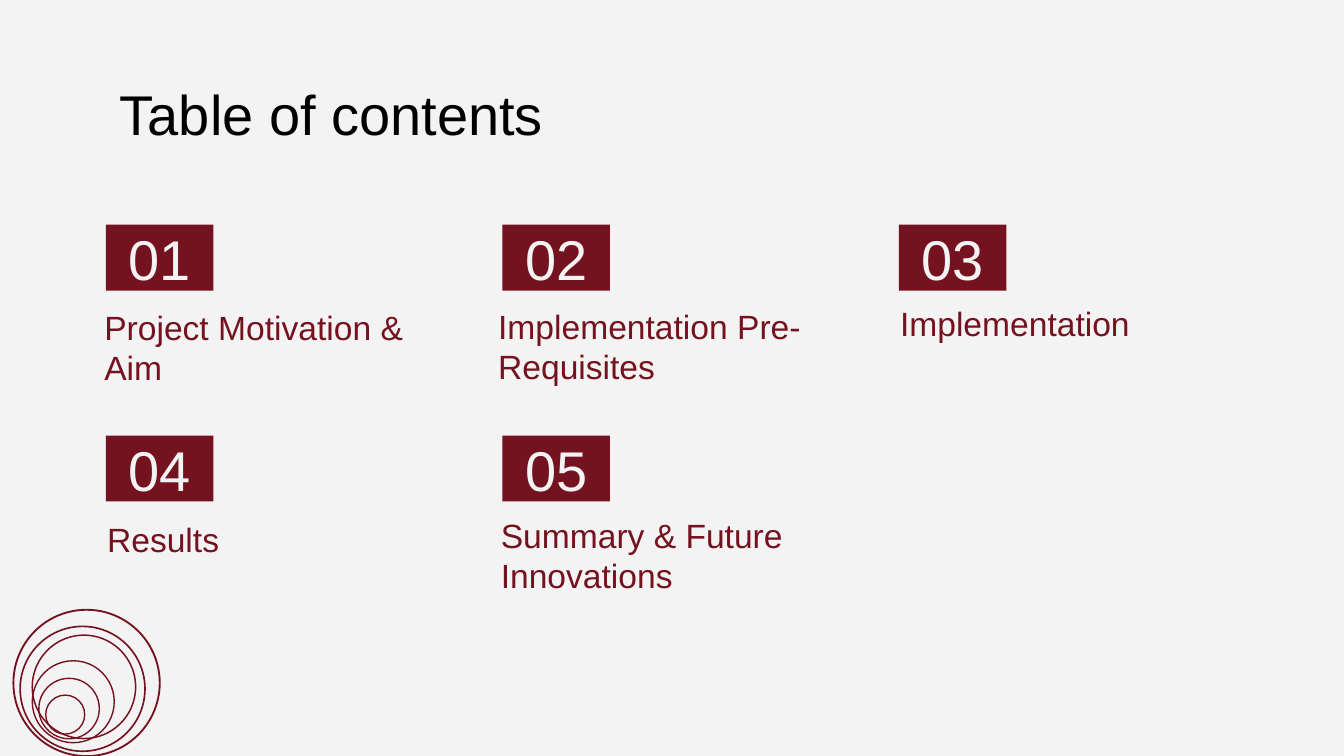
import pptx
import pptx.dml.color
import pptx.enum.shapes
import pptx.enum.text
import pptx.util

Pt = pptx.util.Pt
SHAPES = pptx.enum.shapes.MSO_SHAPE
ANCHOR = pptx.enum.text.MSO_ANCHOR
ALIGN = pptx.enum.text.PP_ALIGN

COLORS = {"paper": "F3F3F3", "wine": "75121F", "ink": "000000"}
FONT = "Arial"
INSET = 7.2
COLUMNS = 3
COLUMN_PITCH, ROW_PITCH = 212.4, 113
TILE_WIDTH, TILE_HEIGHT = 57.6, 35.3
ENTRIES = [
    ("Project Motivation & Aim", -8, 36.7),
    ("Implementation Pre-Requisites", -9.4, 36.2),
    ("Implementation", -6.5, 34.6),
    ("Results", -6.5, 37.5),
    ("Summary & Future Innovations", -8, 35.3),
]
RINGS = [
    (0, 0, 1),
    (3.6, 8.9, 0.88),
    (10.1, 13.6, 0.79),
    (10.1, 27.3, 0.75),
    (13.6, 36.7, 0.75),
    (17.3, 45.7, 0.75),
]
RING_STEP = 11.5


def rgb(name):
    """Return the named deck colour."""
    return pptx.dml.color.RGBColor.from_string(COLORS[name])


def write(shape, text, size, color, anchor=ANCHOR.TOP, align=ALIGN.LEFT):
    """Write one formatted run into a shape."""
    frame = shape.text_frame
    frame.word_wrap = True
    frame.auto_size = pptx.enum.text.MSO_AUTO_SIZE.NONE
    frame.vertical_anchor = anchor
    frame.margin_left = frame.margin_right = Pt(INSET)
    frame.margin_top = frame.margin_bottom = Pt(INSET)
    para = frame.paragraphs[0]
    para.alignment = align
    para.line_spacing = 1.0
    span = para.add_run()
    span.text = text
    span.font.name = FONT
    span.font.size = Pt(size)
    span.font.color.rgb = rgb(color)


def place_title(page, left, top, width, height):
    """Move and fill the title placeholder."""
    title = page.shapes.title
    title.left, title.top = Pt(left), Pt(top)
    title.width, title.height = Pt(width), Pt(height)
    write(title, "Table of contents", 30, "ink")


def add_entry(page, left, top, number, caption, shift_x, shift_y):
    """Add a numbered tile with its caption below."""
    tile = page.shapes.add_shape(
        SHAPES.RECTANGLE, Pt(left), Pt(top), Pt(TILE_WIDTH), Pt(TILE_HEIGHT))
    tile.shadow.inherit = False
    tile.fill.solid()
    tile.fill.fore_color.rgb = rgb("wine")
    tile.line.fill.background()
    write(tile, f"{number:02d}", 30, "paper", ANCHOR.MIDDLE, ALIGN.CENTER)
    box = page.shapes.add_textbox(
        Pt(left + shift_x), Pt(top + shift_y), Pt(181.5), Pt(57.6))
    write(box, caption, 18, "wine")


def add_contents(page, left, top):
    """Lay the entries out in a grid, row by row."""
    for index, entry in enumerate(ENTRIES):
        row, column = divmod(index, COLUMNS)
        add_entry(page, left + column * COLUMN_PITCH, top + row * ROW_PITCH,
                  index + 1, *entry)


def add_rings(page, left, top, size):
    """Add the nested outline circles, each one step smaller."""
    group = page.shapes.add_group_shape()
    for index, (shift_x, shift_y, weight) in enumerate(RINGS):
        diameter = Pt(size - index * RING_STEP)
        ring = group.shapes.add_shape(
            SHAPES.OVAL, Pt(left + shift_x), Pt(top + shift_y), diameter, diameter)
        ring.shadow.inherit = False
        ring.fill.background()
        ring.line.color.rgb = rgb("wine")
        ring.line.width = Pt(weight)


def main():
    """Build and save the contents slide."""
    deck = pptx.Presentation()
    deck.slide_width, deck.slide_height = Pt(720), Pt(405)
    page = deck.slides.add_slide(deck.slide_layouts.get_by_name("Title Only"))
    page.background.fill.solid()
    page.background.fill.fore_color.rgb = rgb("paper")
    place_title(page, 57, 35.3, 607, 45.4)
    add_contents(page, 56.8, 120.4)
    add_rings(page, 7.2, 326.7, 78.4)
    deck.save("out.pptx")


if __name__ == "__main__":
    main()
